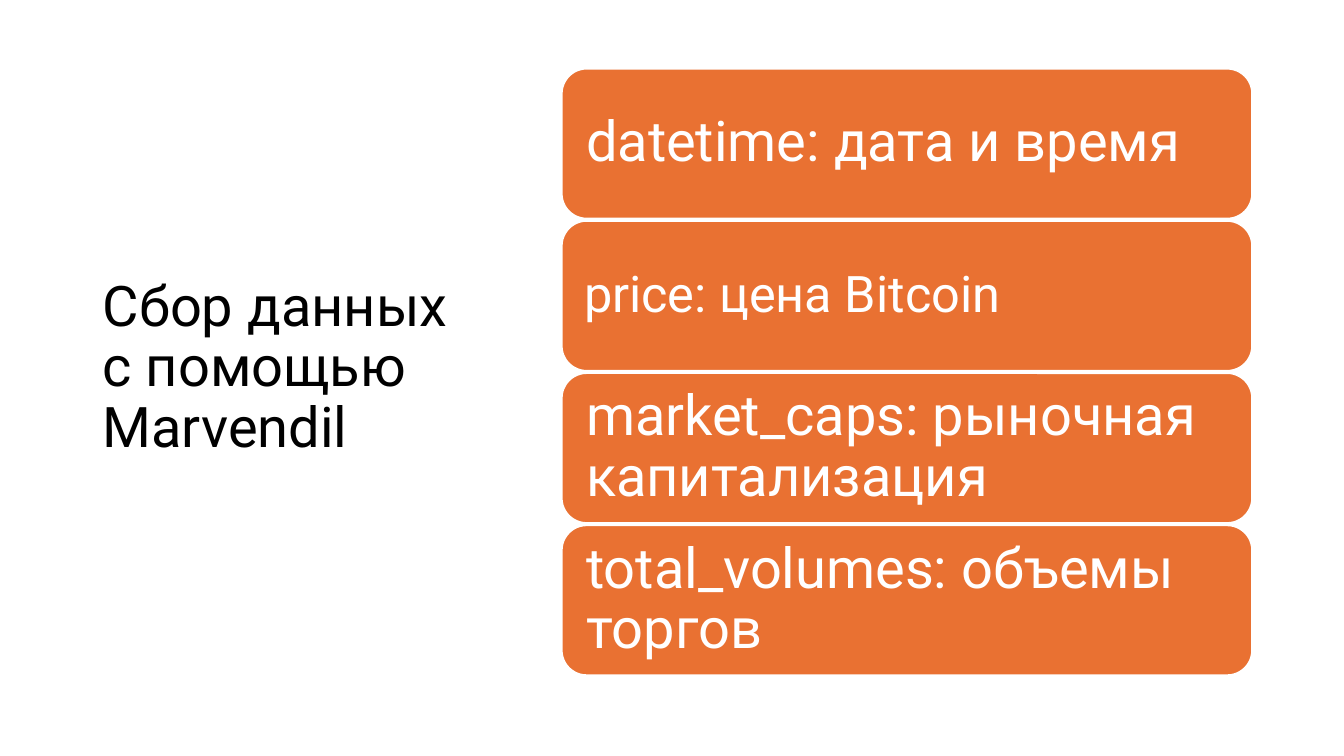
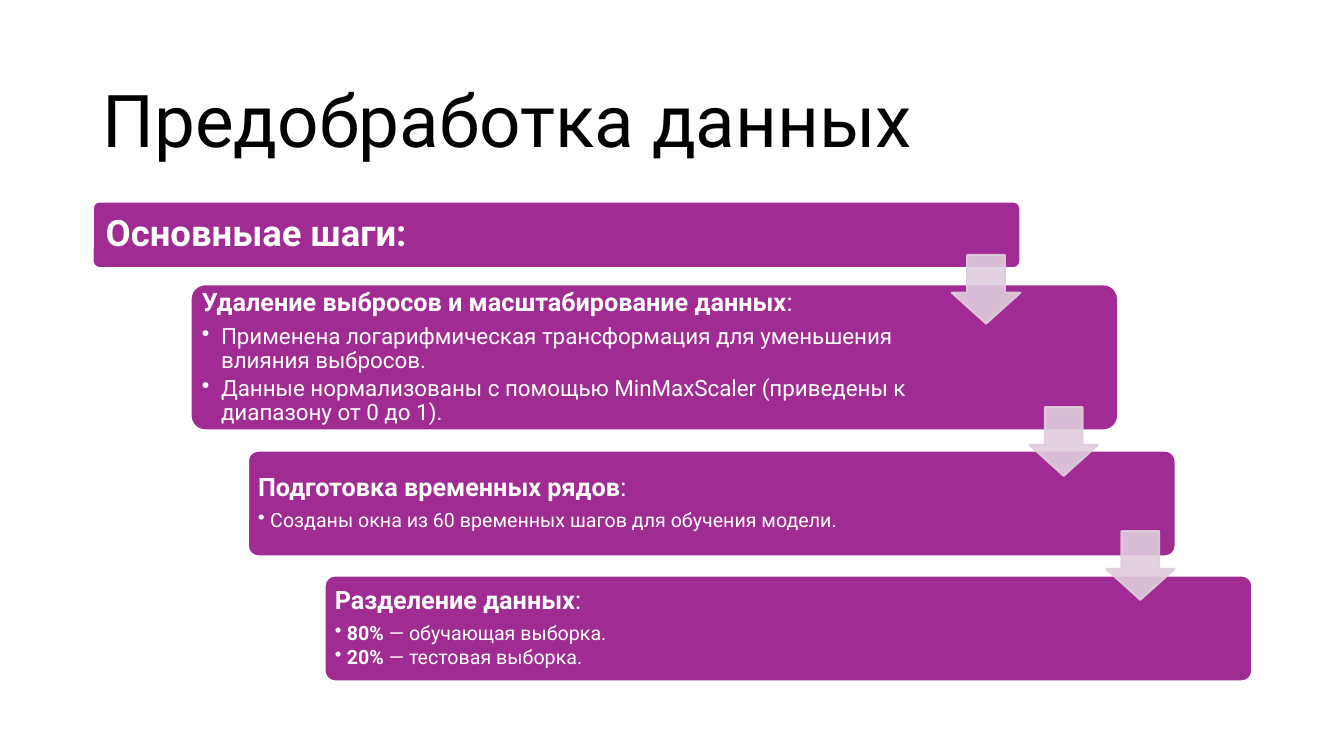
from dataclasses import dataclass

from lxml import etree
from pptx import Presentation
from pptx.dml.color import RGBColor
from pptx.enum.shapes import MSO_SHAPE
from pptx.enum.text import MSO_ANCHOR, PP_ALIGN
from pptx.oxml.ns import qn
from pptx.util import Pt

ROUND = MSO_SHAPE.ROUNDED_RECTANGLE
ARROW = MSO_SHAPE.DOWN_ARROW
MIDDLE = MSO_ANCHOR.MIDDLE
LEFT = PP_ALIGN.LEFT
PX = 9144


@dataclass(frozen=True)
class Theme:
    font: str = "Roboto"
    black: RGBColor = RGBColor(0, 0, 0)
    white: RGBColor = RGBColor(255, 255, 255)
    orange: RGBColor = RGBColor.from_string("E97132")
    purple: RGBColor = RGBColor.from_string("A02B93")
    pale: RGBColor = RGBColor.from_string("DFCDDC")
    title: int = 52
    large: int = 40
    field: int = 36
    lead: int = 26
    head: int = 18
    body: int = 16
    small: int = 14
    edge: float = 1.5


theme = Theme()


def write(shape, paras, color, pads, after=0.35):
    frame = shape.text_frame
    frame.word_wrap = True
    frame.vertical_anchor = MIDDLE
    frame.margin_left, frame.margin_top, frame.margin_right, frame.margin_bottom = [
        pad * PX for pad in pads]
    for i, (size, indent, runs) in enumerate(paras):
        para = frame.add_paragraph() if i else frame.paragraphs[0]
        para.alignment = LEFT
        para.line_spacing = 0.9
        para.space_after = Pt(round(size * (0.15 if indent else after), 1))
        if indent:
            props = para._p.get_or_add_pPr()
            props.set("marL", str(indent * PX))
            props.set("indent", str(-indent * PX))
            etree.SubElement(props, qn("a:buChar")).set("char", "•")
        for text, bold in runs:
            run = para.add_run()
            run.text = text
            run.font.name = theme.font
            run.font.size = Pt(size)
            run.font.bold = bold
            run.font.color.rgb = color


def block(slide, kind, box, fill, line, adjs=()):
    shape = slide.shapes.add_shape(kind, *[n * PX for n in box])
    shape.shadow.inherit = False
    shape.fill.solid()
    shape.fill.fore_color.rgb = fill
    shape.line.color.rgb = line
    shape.line.width = Pt(theme.edge)
    for i, adj in enumerate(adjs):
        shape.adjustments[i] = adj
    return shape


deck = Presentation()
deck.slide_width = 1333 * PX
deck.slide_height = 750 * PX

slides = []
for text, size, box in [
    ("Сбор данных с помощью Marvendil", theme.large, (92, 61, 369, 609)),
    ("Предобработка данных", theme.title, (92, 61, 1150, 124)),
]:
    slide = deck.slides.add_slide(deck.slide_layouts[6])
    title = slide.shapes.add_textbox(*[n * PX for n in box])
    write(title, [(size, 0, [(text, False)])], theme.black, (10, 5, 10, 5), 0)
    slides.append(slide)
data, prep = slides

fields = [
    ("datetime: дата и время", theme.large, 17),
    ("price: цена Bitcoin", theme.field, 15),
    ("market_caps: рыночная капитализация", theme.large, 17),
    ("total_volumes: объемы торгов", theme.large, 17),
]
for i, (text, size, pad) in enumerate(fields):
    card = block(data, ROUND, (557, 68 + 151 * i, 685, 149), theme.orange, theme.white)
    write(card, [(size, 0, [(text, False)])], theme.white, [pad] * 4)

steps = [
    (92, 200, 66, 11, 127, [
        (theme.lead, 0, [("Основныaе шаги:", True)]),
    ]),
    (189, 282, 145, 7, 152, [
        (theme.head, 0, [("Удаление выбросов и масштабирование данных", True), (":", False)]),
        (theme.body, 19, [("Применена логарифмическая трансформация для уменьшения "
                           "влияния выбросов.", False)]),
        (theme.body, 19, [("Данные нормализованы с помощью MinMaxScaler (приведены к "
                           "диапазону от 0 до 1).", False)]),
    ]),
    (246, 447, 105, 7, 152, [
        (theme.head, 0, [("Подготовка временных рядов", True), (":", False)]),
        (theme.small, 12, [("Созданы окна из 60 временных шагов для обучения модели.", False)]),
    ]),
    (322, 571, 105, 7, 152, [
        (theme.head, 0, [("Разделение данных", True), (":", False)]),
        (theme.small, 12, [("80%", True), (" — обучающая выборка.", False)]),
        (theme.small, 12, [("20%", True), (" — тестовая выборка.", False)]),
    ]),
]
for left, top, high, pad, right, paras in steps:
    step = block(prep, ROUND, (left, top, 920, high), theme.purple, theme.white, [0.1])
    write(step, paras, theme.white, (pad, pad, right, pad))

for left, top in [(944, 253), (1021, 404), (1097, 527)]:
    arrow = block(prep, ARROW, (left, top, 68, 68), theme.pale, theme.pale, [0.55, 0.45])
    for color in arrow.element.spPr.iter(qn("a:srgbClr")):
        etree.SubElement(color, qn("a:alpha")).set("val", "90000")

deck.save("out.pptx")
